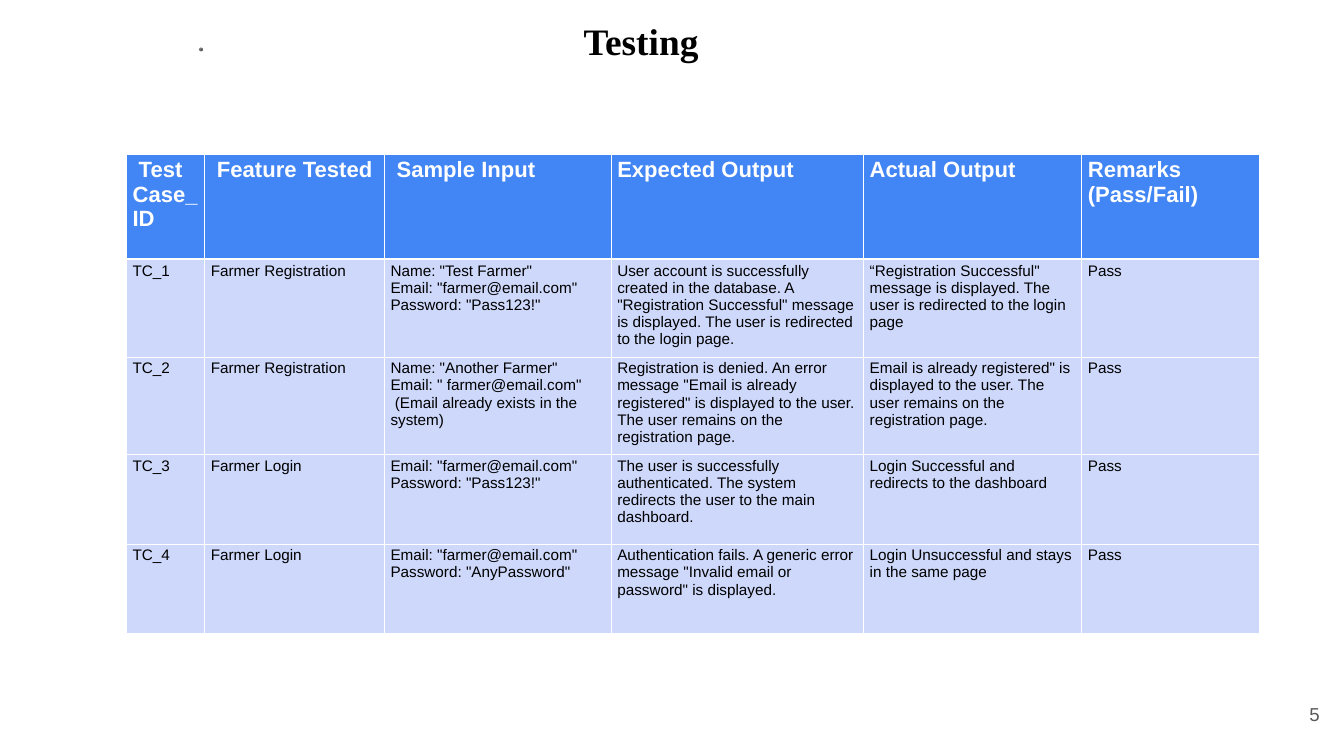
from lxml.etree import SubElement
from pptx import Presentation
from pptx.dml.color import RGBColor
from pptx.enum.shapes import MSO_SHAPE
from pptx.enum.text import MSO_ANCHOR, PP_ALIGN
from pptx.oxml.ns import qn
from pptx.util import Inches, Pt

BLACK = RGBColor(0x00, 0x00, 0x00)
WHITE = RGBColor(0xFF, 0xFF, 0xFF)
GRAY = RGBColor(0x59, 0x59, 0x59)
INK = RGBColor(0x23, 0x1F, 0x20)
HEADER_BLUE = RGBColor(0x42, 0x85, 0xF4)
BODY_BLUE = RGBColor(0xCD, 0xD8, 0xFB)

COLUMN_WIDTHS = [1.28, 2.94, 3.71, 4.13, 3.57, 2.91]
ROW_HEIGHTS = [1.71, 1.46, 1.46, 1.46, 1.46]
TEST_CASES = [
    [" Test Case_ID", " Feature Tested", " Sample Input",
     "Expected Output", "Actual Output", "Remarks (Pass/Fail)"],
    ["TC_1", "Farmer Registration",
     'Name: "Test Farmer"\nEmail: "farmer@email.com"\nPassword: "Pass123!"',
     'User account is successfully created in the database. A "Registration Successful" '
     'message is displayed. The user is redirected to the login page.',
     '“Registration Successful" message is displayed. The user is redirected to the login page',
     "Pass"],
    ["TC_2", "Farmer Registration",
     'Name: "Another Farmer"\nEmail: " farmer@email.com"\n (Email already exists in the system)',
     'Registration is denied. An error message "Email is already registered" is displayed '
     'to the user. The user remains on the registration page.',
     'Email is already registered" is displayed to the user. '
     'The user remains on the registration page.',
     "Pass"],
    ["TC_3", "Farmer Login",
     'Email: "farmer@email.com"\nPassword: "Pass123!"',
     "The user is successfully authenticated. The system redirects the user "
     "to the main dashboard.",
     "Login Successful and redirects to the dashboard",
     "Pass"],
    ["TC_4", "Farmer Login",
     'Email: "farmer@email.com"\nPassword: "AnyPassword"',
     'Authentication fails. A generic error message "Invalid email or password" is displayed.',
     "Login Unsuccessful and stays in the same page",
     "Pass"],
]


def write_text(text_frame, text, size, color, font="Arial", bold=False,
               align=PP_ALIGN.LEFT, anchor=MSO_ANCHOR.TOP, margin=None):
    text_frame.word_wrap = True
    text_frame.vertical_anchor = anchor
    if margin is not None:
        text_frame.margin_left = text_frame.margin_right = Inches(margin)
        text_frame.margin_top = text_frame.margin_bottom = Inches(margin)
    text_frame.text = text
    for paragraph in text_frame.paragraphs:
        paragraph.alignment = align
        paragraph.font.name = font
        paragraph.font.size = Pt(size)
        paragraph.font.bold = bold
        paragraph.font.color.rgb = color


def add_border(cell, side, width):
    line = SubElement(cell._tc.get_or_add_tcPr(), qn(f"a:ln{side}"), w=str(Pt(width)))
    fill = SubElement(line, qn("a:solidFill"))
    SubElement(fill, qn("a:srgbClr"), val=str(WHITE))


presentation = Presentation()
presentation.slide_width = Inches(21.99)
presentation.slide_height = Inches(12.37)
slide = presentation.slides.add_slide(presentation.slide_layouts[6])

ring = slide.shapes.add_shape(MSO_SHAPE.DONUT, Inches(3.26), Inches(0.78),
                              Inches(0.06), Inches(0.06))
ring.adjustments[0] = 0.12
letter_builder = slide.shapes.build_freeform(328, 79, scale=Inches(0.01))
letter_builder.add_line_segments(
    [(328, 83), (329, 83), (329, 81), (330, 83), (331, 83), (330, 81), (330, 79)])
letter = letter_builder.convert_to_shape()
for shape in (ring, letter):
    shape.shadow.inherit = False
    shape.fill.solid()
    shape.fill.fore_color.rgb = INK
    shape.line.fill.background()

page_number = slide.shapes.add_textbox(Inches(20.37), Inches(11.21), Inches(1.32), Inches(0.94))
write_text(page_number.text_frame, "5", size=22, color=GRAY,
           align=PP_ALIGN.RIGHT, anchor=MSO_ANCHOR.MIDDLE, margin=0.1)

title = slide.shapes.add_textbox(Inches(5.53), Inches(0.32), Inches(9.92), Inches(0.7))
write_text(title.text_frame, "Testing", size=44, color=BLACK, font="Times New Roman",
           bold=True, align=PP_ALIGN.CENTER, anchor=MSO_ANCHOR.MIDDLE, margin=0)

table = slide.shapes.add_table(
    len(ROW_HEIGHTS), len(COLUMN_WIDTHS), Inches(2.07), Inches(2.53),
    Inches(sum(COLUMN_WIDTHS)), Inches(sum(ROW_HEIGHTS))).table
for column, width in zip(table.columns, COLUMN_WIDTHS):
    column.width = Inches(width)
for row_index, (row, height) in enumerate(zip(table.rows, ROW_HEIGHTS)):
    row.height = Inches(height)
    is_header = row_index == 0
    for cell, text in zip(row.cells, TEST_CASES[row_index]):
        for side in "LRTB":
            is_thick = (is_header and side == "B") or (row_index == 1 and side == "T")
            add_border(cell, side, 3 if is_thick else 0.96)
        cell.fill.solid()
        cell.fill.fore_color.rgb = HEADER_BLUE if is_header else BODY_BLUE
        write_text(cell.text_frame, text, size=26 if is_header else 18,
                   color=WHITE if is_header else BLACK, bold=is_header)

presentation.save("out.pptx")
